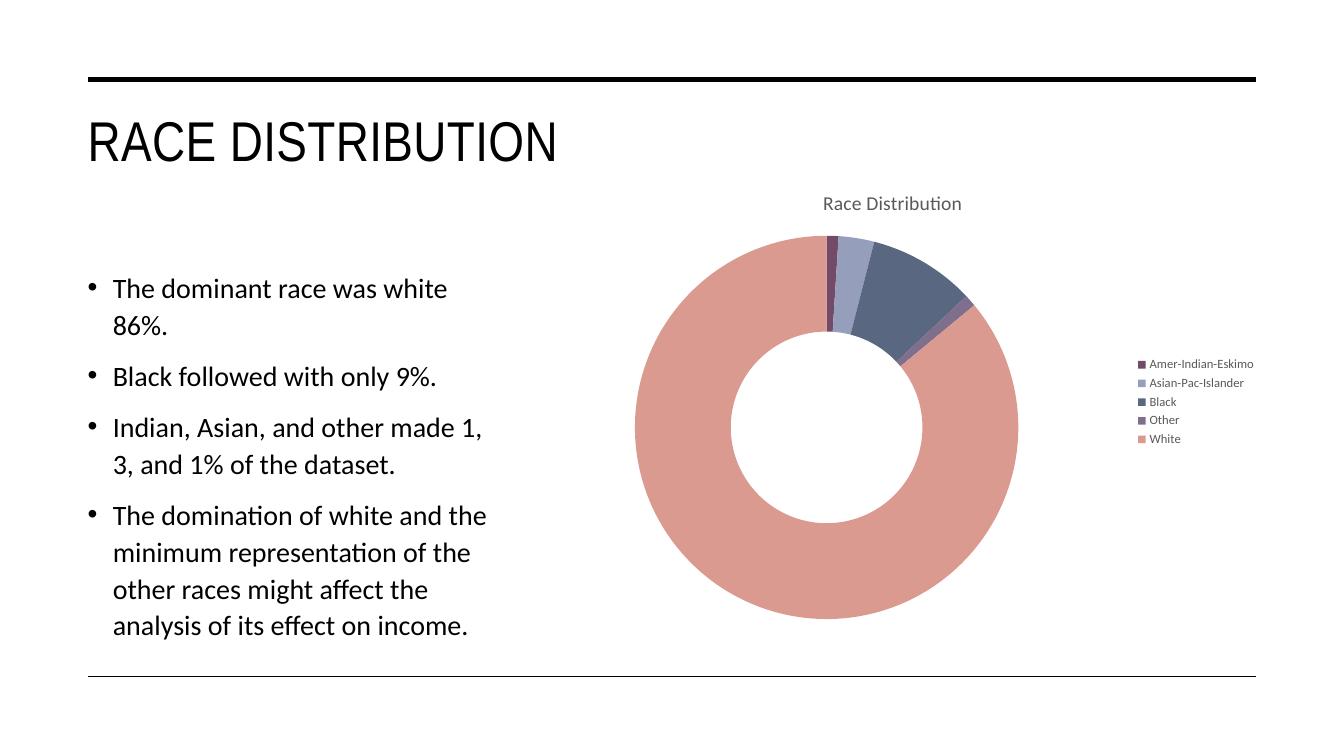
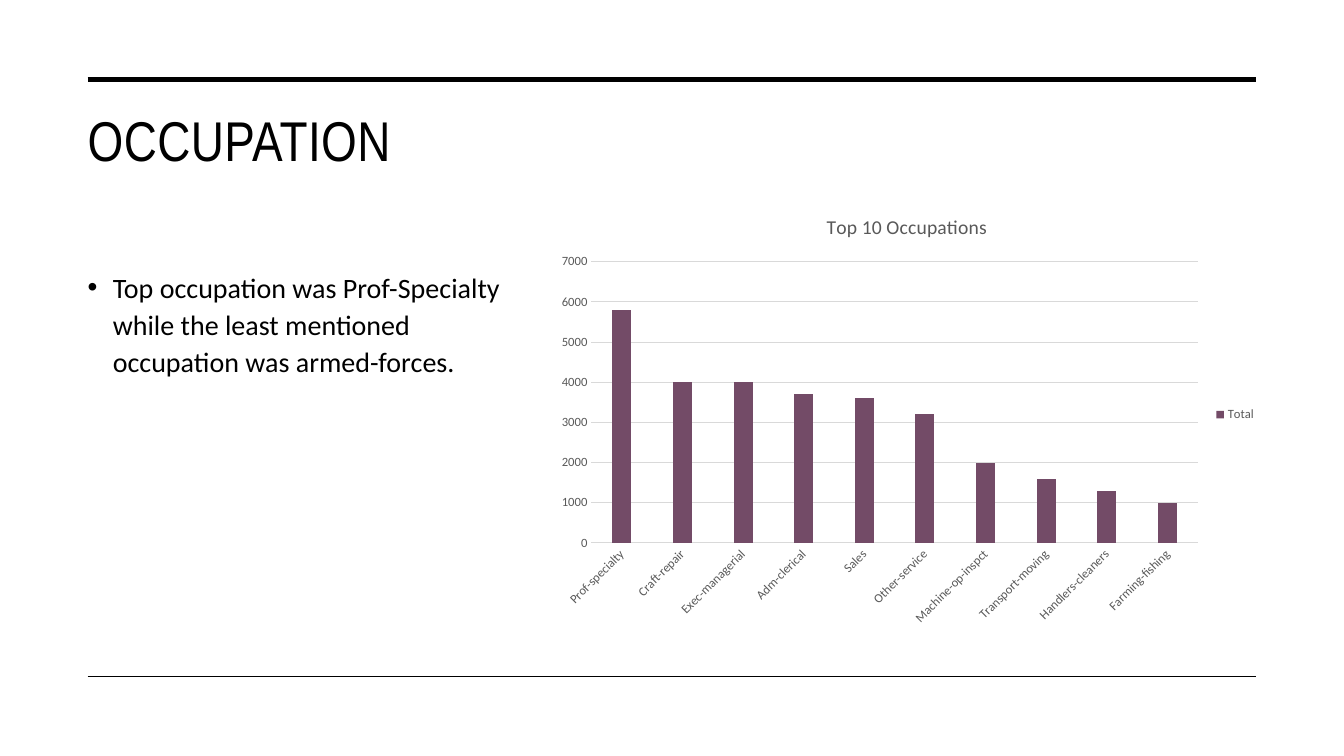
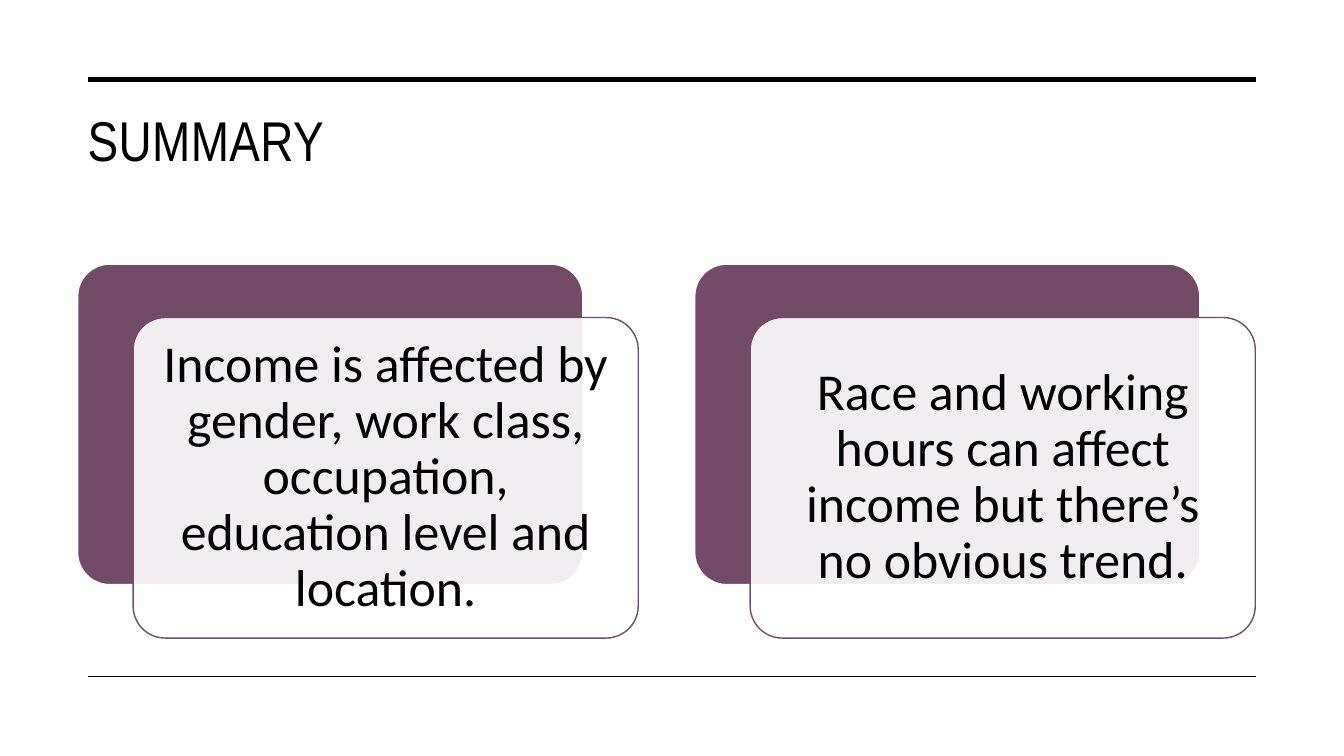
from lxml.etree import SubElement
from pptx import Presentation
from pptx.chart.data import CategoryChartData
from pptx.dml.color import RGBColor
from pptx.enum.chart import XL_CHART_TYPE, XL_LEGEND_POSITION, XL_TICK_MARK
from pptx.enum.shapes import MSO_CONNECTOR, MSO_SHAPE
from pptx.enum.text import MSO_ANCHOR, MSO_AUTO_SIZE, PP_ALIGN
from pptx.oxml.ns import qn
from pptx.util import Inches, Pt

COLORS = {name: RGBColor.from_string(value) for name, value in {
    "ink": "000000",
    "paper": "FFFFFF",
    "plum": "734B67",
    "periwinkle": "959EBB",
    "slate": "596781",
    "mauve": "7F6E8C",
    "salmon": "DB9A8F",
    "label": "595959",
    "grid": "D9D9D9",
}.items()}
TITLE_FONT = "Arial Narrow"
BODY_FONT = "Calibri"
LEFT = 0.77
RULES = [(0.79, 3.5), (6.71, 1)]  # height on the page, line width

PAGES = [
    {
        "title": "RACE DISTRIBUTION",
        "bullets": [
            "The dominant race was white 86%.",
            "Black followed with only 9%.",
            "Indian, Asian, and other made 1, 3, and 1% of the dataset.",
            "The domination of white and the minimum representation of the "
            "other races might affect the analysis of its effect on income.",
        ],
        "chart": {
            "type": XL_CHART_TYPE.DOUGHNUT,
            "place": (5.15, 1.7, 7.41, 4.58),
            "title": "Race Distribution",
            "series": "Series 1",
            "values": {"Amer-Indian-Eskimo": 1, "Asian-Pac-Islander": 3,
                       "Black": 9, "Other": 1, "White": 86},
        },
    },
    {
        "title": "OCCUPATION",
        "bullets": [
            "Top occupation was Prof-Specialty while the least mentioned "
            "occupation was armed-forces.",
        ],
        "chart": {
            "type": XL_CHART_TYPE.COLUMN_CLUSTERED,
            "place": (5.43, 1.94, 7.13, 4.35),
            "title": "Top 10 Occupations",
            "series": "Total",
            "values": {"Prof-specialty": 5800, "Craft-repair": 4000,
                       "Exec-managerial": 4000, "Adm-clerical": 3700,
                       "Sales": 3600, "Other-service": 3200,
                       "Machine-op-inspct": 2000, "Transport-moving": 1600,
                       "Handlers-cleaners": 1300, "Farming-fishing": 1000},
        },
    },
    {
        "title": "SUMMARY",
        "cards": [
            "Income is affected by gender, work class, occupation, "
            "education level and location.",
            "Race and working hours can affect income but there’s "
            "no obvious trend.",
        ],
    },
]


def set_font(font, size, color, name=BODY_FONT):
    font.name = name
    font.size = Pt(size)
    font.bold = False
    font.color.rgb = COLORS[color]


def add_card(page, left, top, fill, line):
    card = page.shapes.add_shape(MSO_SHAPE.ROUNDED_RECTANGLE, Inches(left),
                                 Inches(top), Inches(5.01), Inches(3.18))
    card.adjustments[0] = 0.1
    card.shadow.inherit = False
    card.fill.solid()
    card.fill.fore_color.rgb = COLORS[fill]
    card.line.color.rgb = COLORS[line]
    card.line.width = Pt(1)
    return card


deck = Presentation()
deck.slide_width = Inches(13.33)
deck.slide_height = Inches(7.5)

for content in PAGES:
    page = deck.slides.add_slide(deck.slide_layouts[5])

    for height, width in RULES:
        rule = page.shapes.add_connector(
            MSO_CONNECTOR.STRAIGHT, Inches(0.87), Inches(height),
            Inches(12.46), Inches(height))
        rule.line.color.rgb = COLORS["ink"]
        rule.line.width = Pt(width)
        SubElement(rule._element.spPr, qn("a:effectLst"))

    title = page.shapes.title
    title.left, title.top = Inches(LEFT), Inches(1)
    title.width, title.height = Inches(11.69), Inches(1.43)
    frame = title.text_frame
    frame.text = content["title"]
    frame.vertical_anchor = MSO_ANCHOR.TOP
    frame.auto_size = MSO_AUTO_SIZE.NONE
    para = frame.paragraphs[0]
    para.alignment = PP_ALIGN.LEFT
    set_font(para.font, 40, "ink", TITLE_FONT)
    para.runs[0]._r.get_or_add_rPr().set("spc", "30")

    if "bullets" in content:
        box = page.shapes.add_textbox(Inches(LEFT), Inches(2.6),
                                      Inches(4.35), Inches(3.92))
        frame = box.text_frame
        frame.word_wrap = True
        frame.text = "\n".join(content["bullets"])
        for para in frame.paragraphs:
            para.line_spacing = 1.1
            para.space_before = Pt(10)
            set_font(para.font, 20, "ink")
            properties = para._p.get_or_add_pPr()
            properties.set("marL", str(Inches(0.25)))
            properties.set("indent", str(Inches(-0.25)))
            bullet_font = properties.makeelement(qn("a:buFont"), {"typeface": "Arial"})
            bullet = properties.makeelement(qn("a:buChar"), {"char": "•"})
            defaults = properties.find(qn("a:defRPr"))
            defaults.addprevious(bullet_font)
            defaults.addprevious(bullet)

    if "chart" in content:
        details = content["chart"]
        data = CategoryChartData()
        data.categories = list(details["values"])
        data.add_series(details["series"], list(details["values"].values()))
        place = [Inches(length) for length in details["place"]]
        chart = page.shapes.add_chart(details["type"], *place, data).chart
        set_font(chart.font, 10, "ink")
        chart.has_title = True
        chart.chart_title.include_in_layout = False
        heading = chart.chart_title.text_frame
        heading.text = details["title"]
        set_font(heading.paragraphs[0].font, 14, "label")
        chart.has_legend = True
        chart.legend.position = XL_LEGEND_POSITION.RIGHT
        chart.legend.include_in_layout = False
        set_font(chart.legend.font, 9, "label")
        plot = chart.plots[0]
        series = plot.series[0]

        if details["type"] == XL_CHART_TYPE.DOUGHNUT:
            plot.vary_by_categories = True
            slices = ["plum", "periwinkle", "slate", "mauve", "salmon"]
            for index, color in enumerate(slices):
                point = series.points[index].format
                point.fill.solid()
                point.fill.fore_color.rgb = COLORS[color]
                point.line.fill.background()
        else:
            plot.vary_by_categories = False
            plot.gap_width = 219
            series.format.fill.solid()
            series.format.fill.fore_color.rgb = COLORS["plum"]
            names, amounts = chart.category_axis, chart.value_axis
            for axis in (names, amounts):
                axis.major_tick_mark = XL_TICK_MARK.NONE
                axis.minor_tick_mark = XL_TICK_MARK.NONE
                set_font(axis.tick_labels.font, 9, "label")
            names._element.txPr.bodyPr.set("rot", str(-45 * 60000))
            amounts.minimum_scale, amounts.maximum_scale = 0, 7000
            amounts.major_unit = 1000
            amounts.format.line.fill.background()
            for line in (names.format.line, amounts.major_gridlines.format.line):
                line.color.rgb = COLORS["grid"]
                line.width = Pt(0.75)

    for index, text in enumerate(content.get("cards", [])):
        left = LEFT + 6.12 * index
        add_card(page, left, 2.62, "plum", "paper")
        front = add_card(page, left + 0.55, 3.15, "paper", "plum")
        tint = front._element.spPr.find(qn("a:solidFill"))[0]
        SubElement(tint, qn("a:alpha"), val="90000")
        frame = front.text_frame
        frame.text = text
        frame.word_wrap = True
        frame.vertical_anchor = MSO_ANCHOR.MIDDLE
        frame.margin_left = frame.margin_right = Inches(0.15)
        frame.margin_top = frame.margin_bottom = Inches(0.15)
        para = frame.paragraphs[0]
        para.alignment = PP_ALIGN.CENTER
        para.line_spacing = 0.9
        set_font(para.font, 37, "ink")

deck.save("out.pptx")
